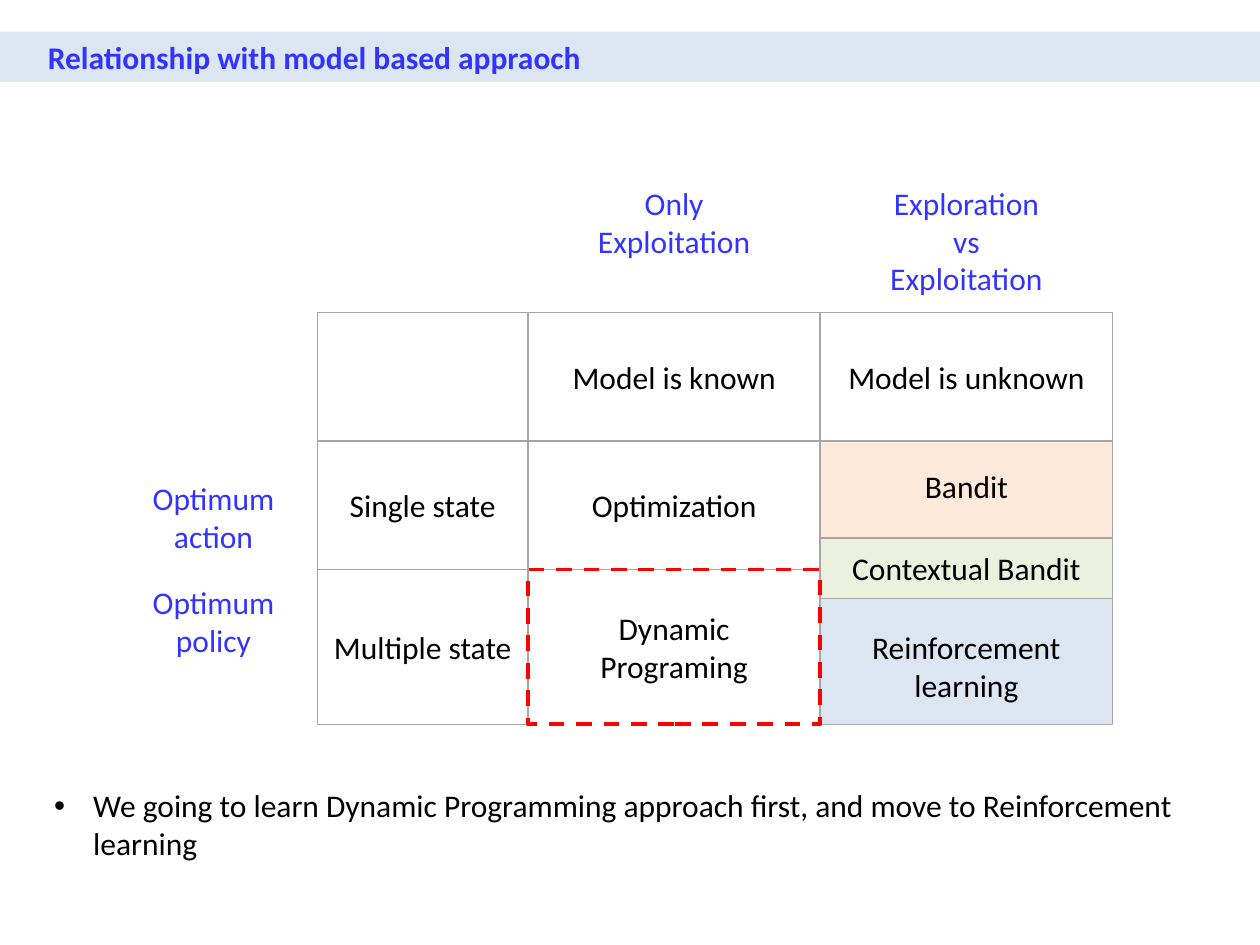
from pptx import Presentation
from pptx.dml.color import RGBColor
from pptx.enum.dml import MSO_LINE
from pptx.enum.shapes import MSO_SHAPE
from pptx.enum.text import MSO_ANCHOR, MSO_AUTO_SIZE, PP_ALIGN
from pptx.util import Inches, Pt

BLACK = RGBColor(0x00, 0x00, 0x00)
BLUE = RGBColor(0x33, 0x33, 0xFF)
GRAY = RGBColor(0xA6, 0xA6, 0xA6)
RED = RGBColor(0xFF, 0x00, 0x00)
PALE = RGBColor(0xDC, 0xE6, 0xF2)
PEACH = RGBColor(0xFD, 0xEA, 0xDA)
GREEN = RGBColor(0xEB, 0xF1, 0xDE)

# Edges of the grid, in inches
COLS = [2.52, 4.19, 6.51, 8.83]
ROWS = [2.48, 3.5, 4.52, 5.75]


def put(frame, text, color=BLACK, bold=False, align=PP_ALIGN.CENTER,
        anchor=MSO_ANCHOR.MIDDLE, font="Calibri", size=18):
    """Fill a text frame, one paragraph for each line of text."""
    frame.word_wrap = True
    frame.auto_size = MSO_AUTO_SIZE.NONE
    frame.vertical_anchor = anchor
    frame.text = text
    for para in frame.paragraphs:
        para.alignment = align
        para.space_before = Pt(0)
        for run in para.runs:
            run.font.name = font
            run.font.size = Pt(size)
            run.font.bold = bold
            run.font.color.rgb = color


class Deck:
    def __init__(self):
        self.file = Presentation()
        self.file.slide_width = Inches(10)
        self.file.slide_height = Inches(7.5)
        self.slide = self.file.slides.add_slide(self.file.slide_layouts[1])
        self.shapes = self.slide.shapes

    def place(self, item, left, top, width, height):
        item.left, item.top = Inches(left), Inches(top)
        item.width, item.height = Inches(width), Inches(height)

    def title(self, text, *box):
        item = self.shapes.title
        self.place(item, *box)
        item.fill.solid()
        item.fill.fore_color.rgb = PALE
        item.text_frame.margin_left = Inches(0.38)
        put(item.text_frame, text, color=BLUE, bold=True, align=PP_ALIGN.LEFT)

    def body(self, text, *box):
        item = self.slide.placeholders[1]
        self.place(item, *box)
        put(item.text_frame, text, align=PP_ALIGN.LEFT, anchor=MSO_ANCHOR.TOP)
        for para in item.text_frame.paragraphs:
            props = para._p.get_or_add_pPr()
            props.set("marL", str(Inches(0.31)))
            props.set("indent", str(-Inches(0.31)))

    def box(self, text, left, top, width, height, fill=None, line=GRAY,
            weight=1, dash=None, above=0.05, below=0.05):
        item = self.shapes.add_shape(
            MSO_SHAPE.RECTANGLE, Inches(left), Inches(top),
            Inches(width), Inches(height))
        item.shadow.inherit = False
        if fill is None:
            item.fill.background()
        else:
            item.fill.solid()
            item.fill.fore_color.rgb = fill
        item.line.color.rgb = line
        item.line.width = Pt(weight)
        if dash is not None:
            item.line.dash_style = dash
        frame = item.text_frame
        frame.margin_top, frame.margin_bottom = Inches(above), Inches(below)
        if text:
            put(frame, text)

    def cell(self, text, row, col, **style):
        self.box(text, COLS[col], ROWS[row], COLS[col + 1] - COLS[col],
                 ROWS[row + 1] - ROWS[row], **style)

    def label(self, text, left, top, width, height, **style):
        item = self.shapes.add_textbox(
            Inches(left), Inches(top), Inches(width), Inches(height))
        put(item.text_frame, text, color=BLUE, **style)


def main():
    deck = Deck()
    deck.title("Relationship with model based appraoch", 0, 0.25, 10, 0.4)

    deck.cell("", 0, 0)
    deck.cell("Model is known", 0, 1)
    deck.cell("Model is unknown", 0, 2)
    deck.cell("Single state", 1, 0)
    deck.cell("Optimization", 1, 1)
    deck.cell("Bandit", 1, 2, fill=PEACH, below=0.35)
    deck.cell("Multiple state", 2, 0)
    deck.cell("Reinforcement learning", 2, 2, fill=PALE, above=0.35)

    wide = COLS[2] - COLS[1]
    deck.box("Contextual Bandit", COLS[2], 4.27, wide, 0.48, fill=GREEN)
    deck.cell("Dynamic\nPrograming", 2, 1, line=RED, weight=2.25,
              dash=MSO_LINE.DASH)

    top = MSO_ANCHOR.TOP
    deck.label("Only\nExploitation", COLS[1], 1.41, wide, 0.71, anchor=top)
    deck.label("Exploration\nvs\nExploitation", COLS[2], 1.41, wide, 1.01,
               anchor=top)
    deck.label("Optimum\naction", 0.86, 3.7, 1.67, 0.81)
    deck.label("Optimum\npolicy", 0.86, 4.52, 1.67, 0.81)

    deck.body("We going to learn Dynamic Programming approach first, "
              "and move to Reinforcement learning", 0.33, 6.19, 9.59, 0.71)
    deck.file.save("out.pptx")


if __name__ == "__main__":
    main()
